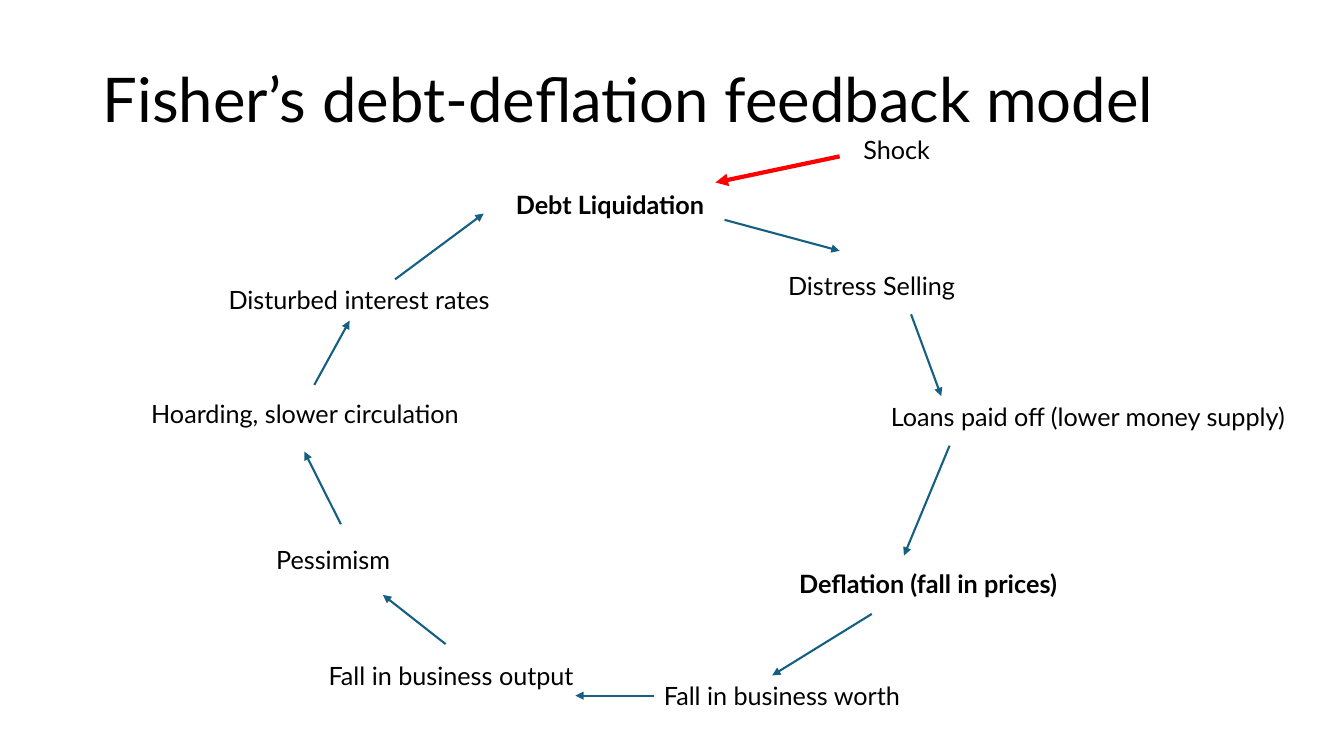
from pptx import Presentation
from pptx.dml.color import RGBColor
from pptx.enum.shapes import MSO_CONNECTOR as Connector
from pptx.enum.text import MSO_ANCHOR as Anchor, MSO_AUTO_SIZE as AutoSize
from pptx.oxml.ns import qn
from pptx.util import Cm, Pt
from lxml.etree import SubElement

BLACK = RGBColor(0x00, 0x00, 0x00)
BLUE = RGBColor(0x15, 0x60, 0x82)
RED = RGBColor(0xFF, 0x00, 0x00)
TOP, LEFT = 0, 1

# label: (left, top, width, bold), clockwise around the loop
STAGES = {
    "Debt Liquidation": (12.75, 4.65, 7.5, True),
    "Distress Selling": (19.61, 6.68, 7.5, False),
    "Loans paid off (lower money supply)": (22.2, 9.98, 11.13, False),
    "Deflation (fall in prices)": (19.89, 14.2, 7.5, True),
    "Fall in business worth": (16.48, 17.02, 7.5, False),
    "Fall in business output": (8.03, 16.51, 7.5, False),
    "Pessimism": (6.71, 13.59, 7.5, False),
    "Hoarding, slower circulation": (3.56, 9.91, 8.89, False),
    "Disturbed interest rates": (5.51, 7.04, 8.89, False),
}

# start and end of the arrow that leaves each stage, in the same order
LOOP_ARROWS = [
    ((18.26, 5.54), (21.16, 6.32)),
    ((22.96, 7.92), (23.72, 9.98)),
    ((23.93, 11.23), (22.78, 14.0)),
    ((21.97, 15.47), (19.46, 17.02)),
    ((16.48, 17.53), (14.5, 17.53)),
    ((11.23, 16.23), (9.65, 14.99)),
    ((8.59, 13.21), (7.67, 11.38)),
    ((7.92, 9.7), (8.81, 8.08)),
    ((9.96, 7.04), (12.19, 5.38)),
]

# stages whose arrow starts at the middle of a side
JOINED_SIDES = {"Fall in business worth": LEFT, "Disturbed interest rates": TOP}


class LoopSlide:
    font = "Lato"
    label_size = 18
    label_height = 1.02

    def __init__(self, presentation):
        self.slide = presentation.slides.add_slide(presentation.slide_layouts[6])

    def text(self, wording, left, top, width, height, size, bold=False):
        box = self.slide.shapes.add_textbox(Cm(left), Cm(top), Cm(width), Cm(height))
        frame = box.text_frame
        frame.text = wording
        frame.word_wrap = True
        font = frame.paragraphs[0].runs[0].font
        font.name, font.size, font.bold = self.font, Pt(size), bold
        font.color.rgb = BLACK
        return box

    def title(self, wording):
        frame = self.text(wording, 2.34, 0.74, 29.21, 3.68, 44).text_frame
        frame.vertical_anchor = Anchor.MIDDLE
        frame.paragraphs[0].line_spacing = 0.9

    def label(self, wording, left, top, width, bold=False):
        box = self.text(wording, left, top, width, self.label_height,
                        self.label_size, bold)
        box.text_frame.auto_size = AutoSize.SHAPE_TO_FIT_TEXT
        return box

    def arrow(self, start, end, color=BLUE, weight=1.5):
        arrow = self.slide.shapes.add_connector(
            Connector.STRAIGHT, *(Cm(value) for value in start + end))
        arrow.line.color.rgb = color
        arrow.line.width = Pt(weight)
        SubElement(arrow.line._get_or_add_ln(), qn("a:tailEnd"), type="triangle")
        SubElement(arrow._element.spPr, qn("a:effectLst"))
        return arrow


def main():
    presentation = Presentation()
    presentation.slide_width, presentation.slide_height = Cm(33.87), Cm(19.05)
    loop = LoopSlide(presentation)

    loop.title("Fisher’s debt-deflation feedback model")
    loop.label("Shock", 21.51, 3.25, 7.5)
    loop.arrow((21.16, 3.94), (18.03, 4.6), RED, 3)

    for (stage, place), (start, end) in zip(STAGES.items(), LOOP_ARROWS):
        label = loop.label(stage, *place)
        arrow = loop.arrow(start, end)
        if stage in JOINED_SIDES:
            arrow.begin_connect(label, JOINED_SIDES[stage])

    presentation.save("out.pptx")


if __name__ == "__main__":
    main()
